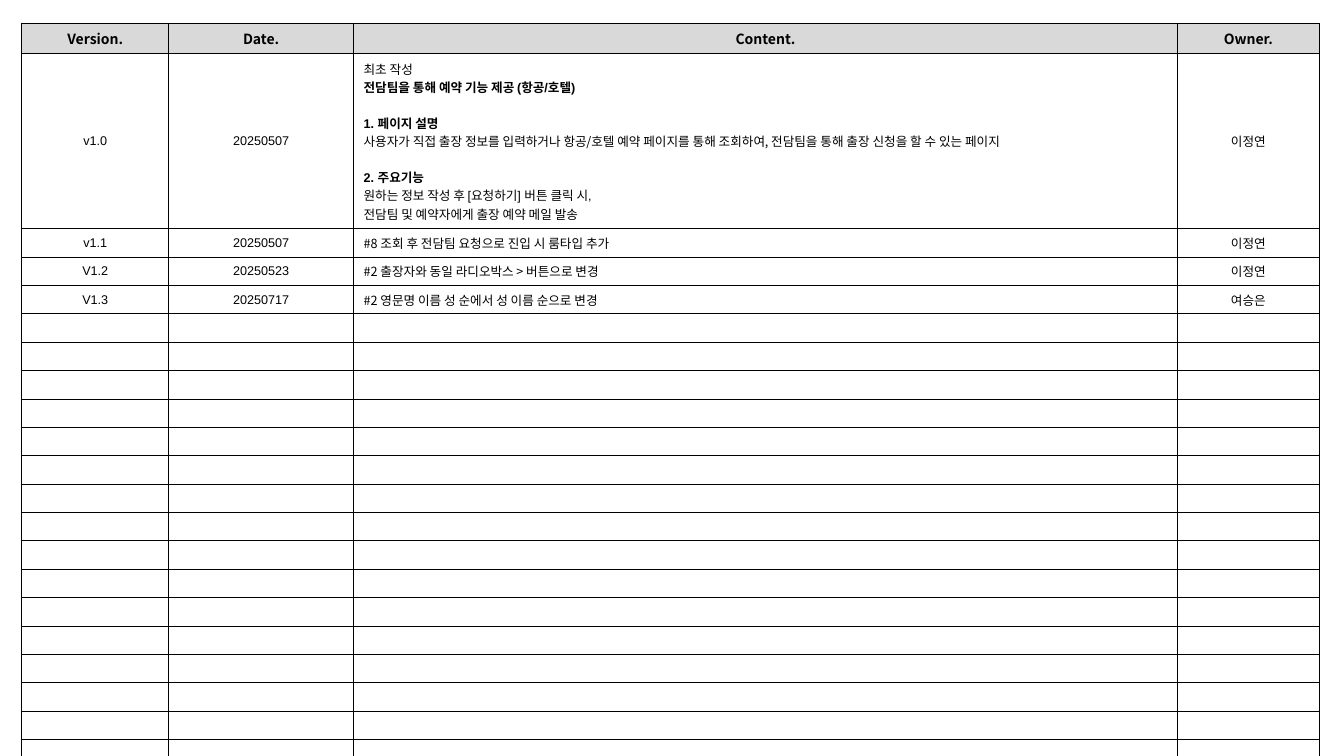
"""Build the revision history slide."""
import pptx
import pptx.dml.color
import pptx.enum.text
import pptx.oxml.ns
import pptx.util
from dataclasses import dataclass
from lxml import etree

Cm, Pt = pptx.util.Cm, pptx.util.Pt
RGB = pptx.dml.color.RGBColor.from_string


@dataclass(frozen=True)
class Theme:
    """Colours, fonts and type sizes."""
    ink: str = "000000"
    header_fill: str = "D9D9D9"
    latin: str = "Arial"
    korean: str = "Noto Sans CJK KR"
    header_size: int = 10
    body_size: int = 9
    border: float = 0.75
    section_gap: float = 12.5


THEME = Theme()
PLAIN = {"name": THEME.latin, "size": Pt(THEME.body_size), "bold": False}
KOREAN = PLAIN | {"name": THEME.korean}
STRONG = PLAIN | {"bold": True}
HEADER = {"name": THEME.korean, "size": Pt(THEME.header_size), "bold": True}

COLUMNS = [("Version.", 3.7), ("Date.", 4.66), ("Content.", 20.76), ("Owner.", 3.58)]
CONTENT_COLUMN = 2
FIRST_CONTENT = [
    ("최초 작성", KOREAN, 0),
    ("전담팀을 통해 예약 기능 제공 (항공/호텔)", STRONG, 0),
    ("1. 페이지 설명", STRONG, THEME.section_gap),
    ("사용자가 직접 출장 정보를 입력하거나 항공/호텔 예약 페이지를 통해 조회하여, "
     "전담팀을 통해 출장 신청을 할 수 있는 페이지", KOREAN, 0),
    ("2. 주요기능", STRONG, THEME.section_gap),
    ("원하는 정보 작성 후 [요청하기] 버튼 클릭 시,", PLAIN, 0),
    ("전담팀 및 예약자에게 출장 예약 메일 발송", PLAIN, 0),
]
REVISIONS = [
    ("v1.0", "20250507", FIRST_CONTENT, "이정연"),
    ("v1.1", "20250507", [("#8 조회 후 전담팀 요청으로 진입 시 룸타입 추가", KOREAN, 0)], "이정연"),
    ("V1.2", "20250523", [("#2 출장자와 동일 라디오박스 > 버튼으로 변경", KOREAN, 0)], "이정연"),
    ("V1.3", "20250717", [("#2 영문명 이름 성 순에서 성 이름 순으로 변경", KOREAN, 0)], "여승은"),
]
EMPTY_ROWS = 23
LEFT, TOP = 0.55, 0.59
HEADER_HEIGHT, FIRST_HEIGHT, ROW_HEIGHT = 0.76, 4.41, 0.715


def add_element(parent, tag, **attributes):
    """Append a DrawingML element."""
    return etree.SubElement(parent, pptx.oxml.ns.qn(tag), attributes)


def draw_borders(cell):
    """Give a cell thin lines on all four sides."""
    properties = cell._tc.get_or_add_tcPr()
    for side in ("a:lnL", "a:lnR", "a:lnT", "a:lnB"):
        line = add_element(properties, side, w=str(Pt(THEME.border)))
        add_element(add_element(line, "a:solidFill"), "a:srgbClr", val=THEME.ink)


def write_lines(cell, lines, alignment):
    """Write styled lines, one paragraph each."""
    frame = cell.text_frame
    for index, (wording, style, gap) in enumerate(lines):
        paragraph = frame.add_paragraph() if index else frame.paragraphs[0]
        paragraph.alignment = alignment
        if gap:
            paragraph.space_before = Pt(gap)
        run = paragraph.add_run()
        run.text = wording
        for attribute, value in style.items():
            setattr(run.font, attribute, value)
        run.font.color.rgb = RGB(THEME.ink)
        add_element(run._r.get_or_add_rPr(), "a:ea", typeface=THEME.korean)


def main():
    """Lay out the history table and save the slide."""
    deck = pptx.Presentation()
    deck.slide_width, deck.slide_height = Cm(33.87), Cm(19.05)
    slide = deck.slides.add_slide(deck.slide_layouts[6])

    rows = [[[(heading, HEADER, 0)] for heading, _ in COLUMNS]]
    for version, date, content, owner in REVISIONS:
        rows.append([[(version, PLAIN, 0)], [(date, PLAIN, 0)], content, [(owner, KOREAN, 0)]])
    rows += [[[] for _ in COLUMNS] for _ in range(EMPTY_ROWS)]
    heights = [HEADER_HEIGHT, FIRST_HEIGHT] + [ROW_HEIGHT] * (len(rows) - 2)
    widths = [width for _, width in COLUMNS]

    history = slide.shapes.add_table(
        len(rows), len(COLUMNS), Cm(LEFT), Cm(TOP), Cm(sum(widths)), Cm(sum(heights))).table
    history.first_row = history.horz_banding = False
    for column, width in zip(history.columns, widths):
        column.width = Cm(width)

    for row_index, (entry, height) in enumerate(zip(rows, heights)):
        history.rows[row_index].height = Cm(height)
        for column_index, lines in enumerate(entry):
            cell = history.cell(row_index, column_index)
            cell.vertical_anchor = pptx.enum.text.MSO_ANCHOR.MIDDLE
            draw_borders(cell)
            if row_index == 0:
                cell.fill.solid()
                cell.fill.fore_color.rgb = RGB(THEME.header_fill)
            else:
                cell.fill.background()
            is_content = row_index and column_index == CONTENT_COLUMN
            alignment = pptx.enum.text.PP_ALIGN.LEFT if is_content else pptx.enum.text.PP_ALIGN.CENTER
            write_lines(cell, lines, alignment)
            if not lines:
                add_element(cell.text_frame.paragraphs[0]._p, "a:endParaRPr",
                            sz=str(THEME.body_size * 100))

    deck.save("out.pptx")


if __name__ == "__main__":
    main()
